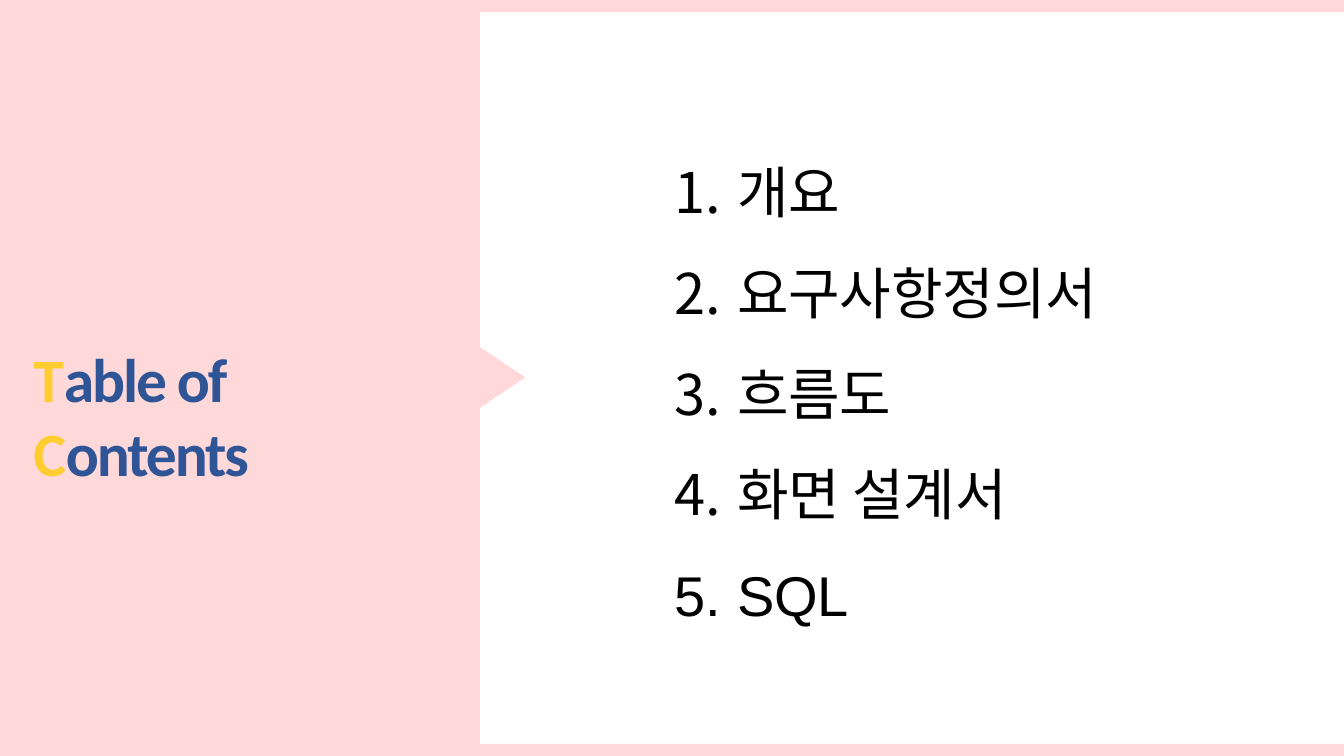
import pptx
import pptx.util
import pptx.dml.color
import pptx.enum.shapes
import pptx.enum.text
import pptx.oxml.ns
from lxml import etree

Inches, Pt = pptx.util.Inches, pptx.util.Pt
RGBColor = pptx.dml.color.RGBColor
MSO_SHAPE = pptx.enum.shapes.MSO_SHAPE
PP_ALIGN = pptx.enum.text.PP_ALIGN
MSO_ANCHOR = pptx.enum.text.MSO_ANCHOR
MSO_AUTO_SIZE = pptx.enum.text.MSO_AUTO_SIZE

PINK = RGBColor(0xFF, 0xD8, 0xD9)
YELLOW = RGBColor(0xFF, 0xCD, 0x2F)
BLUE = RGBColor(0x2F, 0x55, 0x97)
BLACK = RGBColor(0, 0, 0)

prs = pptx.Presentation()
prs.slide_width, prs.slide_height = Inches(13.33), Inches(7.5)
s = prs.slides.add_slide(prs.slide_layouts[1])

# Pink side panel with its pointer, top and bottom bands
for shape, left, top, width, height, rotation in [
    (MSO_SHAPE.RECTANGLE, 0, 0, 4.76, 7.5, 0),
    (MSO_SHAPE.ISOSCELES_TRIANGLE, 4.66, 3.51, 0.63, 0.47, 90),
    (MSO_SHAPE.RECTANGLE, 0, 0, 13.33, 0.12, 0),
    (MSO_SHAPE.RECTANGLE, 0, 7.38, 13.33, 0.12, 0),
]:
    sp = s.shapes.add_shape(shape, Inches(left), Inches(top), Inches(width), Inches(height))
    sp.rotation = rotation
    sp.shadow.inherit = False
    sp.fill.solid()
    sp.fill.fore_color.rgb = PINK
    sp.line.fill.background()

# Title and list boxes, placed in front of the panel
title, body = s.shapes.title, s.placeholders[1]
for sp, left, top, width, height in [
    (title, 0.23, 3.33, 4.29, 0.84),
    (body, 6.59, 1.18, 4.76, 5.15),
]:
    sp.left, sp.top = Inches(left), Inches(top)
    sp.width, sp.height = Inches(width), Inches(height)
    s.shapes._spTree.append(sp._element)
    tf = sp.text_frame
    tf.word_wrap = True
    tf.auto_size = MSO_AUTO_SIZE.SHAPE_TO_FIT_TEXT
    tf.vertical_anchor = MSO_ANCHOR.TOP

# Title with yellow initials
title.text_frame.margin_right = Inches(0.4)
p = title.text_frame.paragraphs[0]
p.alignment = PP_ALIGN.LEFT
for text, color in [("T", YELLOW), ("able of ", BLUE), ("C", YELLOW), ("ontents", BLUE)]:
    r = p.add_run()
    r.text = text
    r.font.name, r.font.size, r.font.bold = "Calibri", Pt(44), True
    r.font.color.rgb = color
    r.font._element.set("spc", "-150")

# Numbered contents
tf = body.text_frame
tf.text = "개요\n요구사항정의서\n흐름도\n화면 설계서\nSQL"
for p in tf.paragraphs:
    pPr = p._p.get_or_add_pPr()
    pPr.set("marL", str(Inches(0.62)))
    pPr.set("indent", str(-Inches(0.62)))
    etree.SubElement(pPr, pptx.oxml.ns.qn("a:buFont"), typeface="Arial")
    etree.SubElement(pPr, pptx.oxml.ns.qn("a:buAutoNum"), type="arabicPeriod")
    p.line_spacing = 1.5
    p.space_before = Pt(0)
    for r in p.runs:
        r.font.name, r.font.size = "Arial", Pt(40)
        r.font.color.rgb = BLACK

prs.save("out.pptx")
